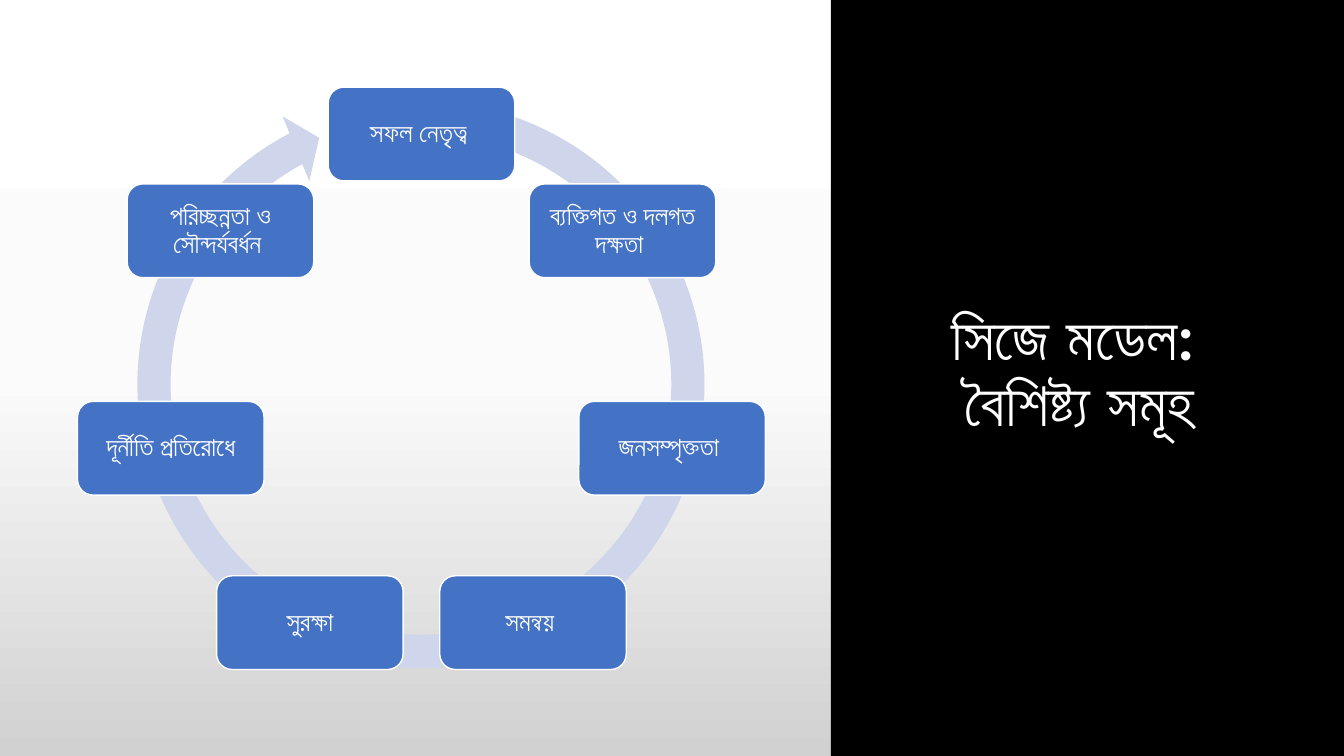
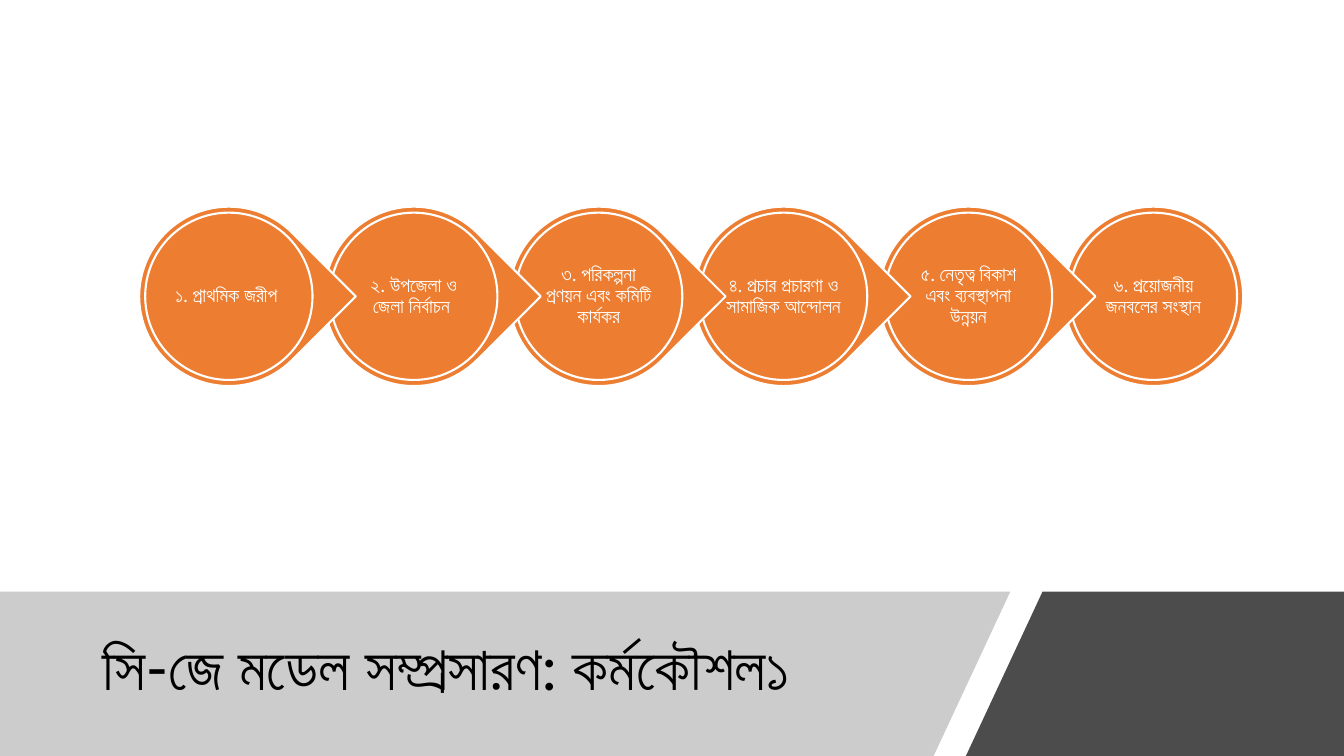
import copy
import math

from lxml import etree
from pptx import Presentation
from pptx import util as u
from pptx.dml.color import RGBColor
from pptx.enum import shapes, text
from pptx.oxml.ns import qn

BLACK = RGBColor(0x00, 0x00, 0x00)
WHITE = RGBColor(0xFF, 0xFF, 0xFF)
OFF_WHITE = RGBColor(0xFB, 0xFB, 0xFB)
SILVER = RGBColor(0xD1, 0xD1, 0xD1)
GRAY = RGBColor(0x80, 0x80, 0x80)
BLUE = RGBColor(0x44, 0x72, 0xC4)
PALE_BLUE = RGBColor(0xCF, 0xD5, 0xEA)
ORANGE = RGBColor(0xED, 0x7D, 0x31)

SHAPE = shapes.MSO_SHAPE
ALIGN = text.PP_ALIGN
SLIDE_W, SLIDE_H = 13.33, 7.5


class Deck:
    """Holds the shared style and the slide being built."""

    title_font = {"name": "Lato", "size": u.Pt(44)}
    label_font = {"name": "Calibri", "color": WHITE}

    def __init__(self):
        self.prs = Presentation()
        self.prs.slide_width = u.Inches(SLIDE_W)
        self.prs.slide_height = u.Inches(SLIDE_H)
        self.s = None

    def new_slide(self):
        self.s = self.prs.slides.add_slide(self.prs.slide_layouts[5])

    def gradient_background(self, stops):
        """Fill the background downwards with (position, colour) stops."""
        fill = self.s.background.fill
        fill.gradient()
        fill.gradient_angle = 270
        gs_lst = self.s.element.find(".//" + qn("a:gsLst"))
        while len(gs_lst) < len(stops):
            gs_lst.append(copy.deepcopy(gs_lst[0]))
        for stop, (position, color) in zip(fill.gradient_stops, stops):
            stop.position = position
            stop.color.rgb = color

    def set_text(self, tf, wording, align, fmt):
        tf.word_wrap = True
        tf.auto_size = text.MSO_AUTO_SIZE.NONE
        tf.vertical_anchor = text.MSO_ANCHOR.MIDDLE
        tf.text = wording
        p = tf.paragraphs[0]
        p.alignment = align
        p.line_spacing = 0.9
        for r in p.runs:
            for key, value in fmt.items():
                if key == "color":
                    r.font.color.rgb = value
                else:
                    setattr(r.font, key, value)

    def title(self, wording, box, align, **fmt):
        """Place the title in front of everything drawn so far."""
        sp = self.s.shapes.title
        sp.left, sp.top, sp.width, sp.height = map(u.Inches, box)
        self.set_text(sp.text_frame, wording, align, {**self.title_font, **fmt})
        self.s.shapes.element.append(sp.element)

    def paint(self, sp, fill, line=None):
        """Give a shape its fill and, with a width in points, a white outline."""
        sp.shadow.inherit = False
        sp.fill.solid()
        sp.fill.fore_color.rgb = fill
        if line:
            sp.line.color.rgb = WHITE
            sp.line.width = u.Pt(line)
        else:
            sp.line.fill.background()

    def shape(self, kind, box, fill, line=None, adj=()):
        sp = self.s.shapes.add_shape(kind, *map(u.Inches, box))
        self.paint(sp, fill, line)
        for i, value in enumerate(adj):
            sp.adjustments[i] = value
        return sp

    def label(self, sp, wording, size, inset):
        tf = sp.text_frame
        for side in ("left", "top", "right", "bottom"):
            setattr(tf, "margin_" + side, u.Inches(inset))
        self.set_text(tf, wording, ALIGN.CENTER, {**self.label_font, "size": u.Pt(size)})

    def band(self, points, fill, opacity):
        start, *rest = [(u.Inches(x), u.Inches(y)) for x, y in points]
        builder = self.s.shapes.build_freeform(*start)
        builder.add_line_segments(rest, close=True)
        sp = builder.convert_to_shape()
        self.paint(sp, fill)
        clr = sp.element.spPr.find(qn("a:solidFill"))[0]
        etree.SubElement(clr, qn("a:alpha")).set("val", str(opacity * 1000))


def features_slide(deck):
    features = [
        "সফল নেতৃত্ব ", "ব্যক্তিগত ও দলগত দক্ষতা ", "জনসম্পৃক্ততা ", "সমন্বয় ",
        "সুরক্ষা", "দূর্নীতি প্রতিরোধে", "পরিচ্ছন্নতা ও সৌন্দর্যবর্ধন ",
    ]
    center_x, center_y, radius = 4.18, 3.88, 2.55
    box_w, box_h = 1.85, 0.93

    deck.new_slide()
    deck.gradient_background([(0, WHITE), (0.5, OFF_WHITE), (1, SILVER)])
    deck.shape(SHAPE.RECTANGLE, (8.24, 0, SLIDE_W - 8.24, SLIDE_H), BLACK)
    deck.title("সিজে মডেল: \vবৈশিষ্ট্য সমূহ", (8.8, 1.38, 3.83, 4.65),
               ALIGN.CENTER, color=WHITE, bold=True)
    deck.shape(SHAPE.CIRCULAR_ARROW, (1.18, 0.82, 5.99, 5.99), PALE_BLUE,
               adj=(0.055, 3.307, 145.249, 169.45, 0.058))
    for i, feature in enumerate(features):
        angle = math.tau * i / len(features)
        left = center_x + radius * math.sin(angle) - box_w / 2
        top = center_y - radius * math.cos(angle) - box_h / 2
        sp = deck.shape(SHAPE.ROUNDED_RECTANGLE, (left, top, box_w, box_h), BLUE, 1)
        deck.label(sp, feature, 19, 0.08)


def strategy_slide(deck):
    steps = [
        "১. প্রাথমিক জরীপ ", "২. উপজেলা ও জেলা নির্বাচন ",
        "৩. পরিকল্পনা প্রণয়ন এবং কমিটি কার্যকর",
        "৪. প্রচার প্রচারণা ও সামাজিক আন্দোলন ",
        "৫. নেতৃত্ব বিকাশ এবং ব্যবস্থাপনা উন্নয়ন", "৬. প্রয়োজনীয় জনবলের সংস্থান",
    ]
    first_left, last_left, top = 1.38, 10.55, 2.05
    outer, rim = 1.78, 0.06
    inner = outer - 2 * rim
    pitch = (last_left - first_left) / (len(steps) - 1)
    band_top = 5.87

    deck.new_slide()
    deck.band([(0, band_top), (10.02, band_top), (9.26, SLIDE_H), (0, SLIDE_H)], GRAY, 40)
    deck.band([(10.34, band_top), (SLIDE_W, band_top), (SLIDE_W, SLIDE_H),
               (9.58, SLIDE_H)], BLACK, 70)
    deck.title("সি-জে মডেল সম্প্রসারণ: কর্মকৌশল১", (0.92, 6.05, 8.44, 1.2),
               ALIGN.LEFT, color=BLACK)
    # Right to left, so that each drop's tip lies over the next circle.
    for i, step in reversed(list(enumerate(steps))):
        left = first_left + i * pitch
        is_last = i == len(steps) - 1
        drop = deck.shape(SHAPE.OVAL if is_last else SHAPE.TEAR,
                          (left, top, outer, outer), ORANGE, 1.5)
        drop.rotation = 0 if is_last else 45
        disc = deck.shape(SHAPE.OVAL, (left + rim, top + rim, inner, inner), ORANGE, 1.5)
        deck.label(disc, step, 14, 0.02)


def main():
    deck = Deck()
    features_slide(deck)
    strategy_slide(deck)
    deck.prs.save("out.pptx")


if __name__ == "__main__":
    main()
